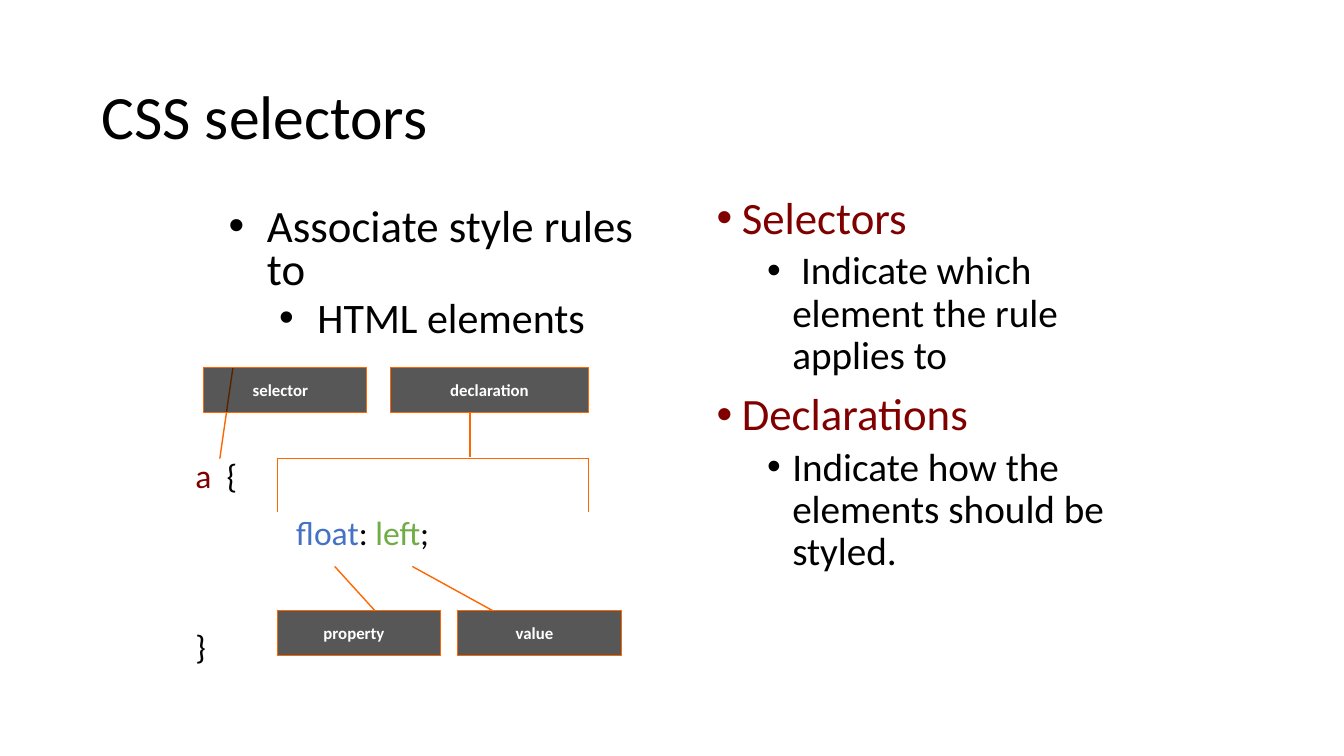
import pptx
import pptx.dml.color
import pptx.enum.shapes
import pptx.enum.text
import pptx.oxml.ns
import pptx.util
from lxml import etree

Inches, Pt = pptx.util.Inches, pptx.util.Pt
qn = pptx.oxml.ns.qn
Anchor = pptx.enum.text.MSO_ANCHOR
Align = pptx.enum.text.PP_ALIGN

BLACK, WHITE, RED = "000000", "FFFFFF", "800000"
ORANGE, BLUE, GREEN = "FF6600", "4472C4", "70AD47"


def color(code):
    return pptx.dml.color.RGBColor.from_string(code)


def apply(target, values):
    for name, value in values.items():
        setattr(target, name, value)


def add_tag(parent, tag, **values):
    return etree.SubElement(parent, qn(tag), values)


def add_bullet(para, code):
    props = para._p.get_or_add_pPr()
    add_tag(add_tag(props, "a:buClr"), "a:srgbClr", val=code)
    add_tag(props, "a:buFont", typeface="Arial")
    add_tag(props, "a:buChar", char="•")


def add_para(frame, first, runs, size, bold=False, left=0, hang=0, mark=False, **form):
    """Runs are (text, colour) pairs; left and hang are in inches."""
    para = frame.paragraphs[0] if first else frame.add_paragraph()
    apply(para, form)
    props = para._p.get_or_add_pPr()
    props.set("marL", str(Inches(left)))
    props.set("indent", str(Inches(-hang)))
    if mark:
        add_bullet(para, runs[0][1])
    for words, code in runs:
        run = para.add_run()
        run.text = words
        apply(run.font, {"name": "Calibri", "size": Pt(size), "bold": bold})
        run.font.color.rgb = color(code)


def add_text(slide, box, paras, anchor=Anchor.TOP):
    frame = slide.shapes.add_textbox(*map(Inches, box)).text_frame
    apply(frame, {"word_wrap": True, "vertical_anchor": anchor})
    for index, para in enumerate(paras):
        add_para(frame, index == 0, **para)


def add_label(slide, words, left, top, width=1.62, inset=0):
    kind = pptx.enum.shapes.MSO_SHAPE.RECTANGLE
    shape = slide.shapes.add_shape(kind, *map(Inches, (left, top, width, 0.44)))
    shape.shadow.inherit = False
    shape.fill.solid()
    shape.fill.fore_color.rgb = color(BLACK)
    fill = shape.element.spPr.find(qn("a:solidFill"))
    add_tag(fill[0], "a:alpha", val="66000")
    shape.line.color.rgb = color(ORANGE)
    shape.line.width = Pt(0.75)
    frame = shape.text_frame
    apply(frame, {"margin_left": Inches(inset), "word_wrap": True,
                  "vertical_anchor": Anchor.MIDDLE})
    add_para(frame, True, [(words, WHITE)], 12, bold=True, alignment=Align.CENTER)


def add_line(slide, *ends):
    kind = pptx.enum.shapes.MSO_CONNECTOR.STRAIGHT
    line = slide.shapes.add_connector(kind, *map(Inches, ends))
    line.line.color.rgb = color(ORANGE)
    line.line.width = Pt(1)
    add_tag(line.element.spPr, "a:effectLst")


def bullet(words, size, code, left, hang, space, before=0):
    return {"runs": [(words, code)], "size": size, "left": left, "hang": hang,
            "mark": True, "line_spacing": space, "space_before": Pt(before)}


def main():
    deck = pptx.Presentation()
    apply(deck, {"slide_width": Inches(13.33), "slide_height": Inches(7.5)})
    slide = deck.slides.add_slide(deck.slide_layouts[6])

    # Title and bullet lists
    title = {"runs": [("CSS selectors", BLACK)], "size": 44, "line_spacing": 0.9}
    add_text(slide, (0.91, 0.3, 10.26, 1.27), [title], Anchor.BOTTOM)
    add_text(slide, (7.01, 1.89, 4.16, 4.81), [
        bullet("Selectors", 32, RED, 0.25, 0.25, 0.9),
        bullet(" Indicate which element the rule applies to", 28, BLACK, 0.75, 0.25, 0.9, 5),
        bullet("Declarations", 32, RED, 0.25, 0.25, 0.9, 10),
        bullet("Indicate how the elements should be styled.", 28, BLACK, 0.75, 0.25, 0.9, 5),
    ])
    add_text(slide, (2.17, 2.02, 4.5, 1.47), [
        bullet("Associate style rules to", 32, BLACK, 0.38, 0.38, 0.8),
        bullet("HTML elements", 30, BLACK, 0.88, 0.38, 0.8, 5),
    ])

    # Code sample
    rule = [("float", BLUE), (": ", BLACK), ("left", GREEN), (";", BLACK)]
    add_text(slide, (1.84, 4.46, 5.14, 2.32), [
        {"runs": [("a", RED), ("  {", BLACK)], "size": 24},
        {"runs": rule, "size": 24, "left": 1, "space_before": Pt(12)},
        {"runs": [("}", BLACK)], "size": 24, "space_before": Pt(53)},
    ])

    # Selector pointer lies beneath its label
    upper, lower = 3.65, 6.06
    add_line(slide, 2.31, upper, 2.18, 4.55)
    add_label(slide, "selector", 2.02, upper)
    add_label(slide, "declaration", 3.87, upper, 1.97, 0.1)
    add_label(slide, "property", 2.75, lower)
    add_label(slide, "value", 4.54, lower)

    # Declaration bracket
    start, end, bar = 2.75, 5.84, 4.55
    add_line(slide, start, bar, end, bar)
    for side in (start, end):
        add_line(slide, side, 5.08, side, bar)
    add_line(slide, 4.66, 4.09, 4.66, 4.53)

    # Property and value pointers
    for tail, head in ((3.32, 3.72), (4.09, 4.89)):
        add_line(slide, tail, 5.62, head, lower)

    deck.save("out.pptx")


main()
